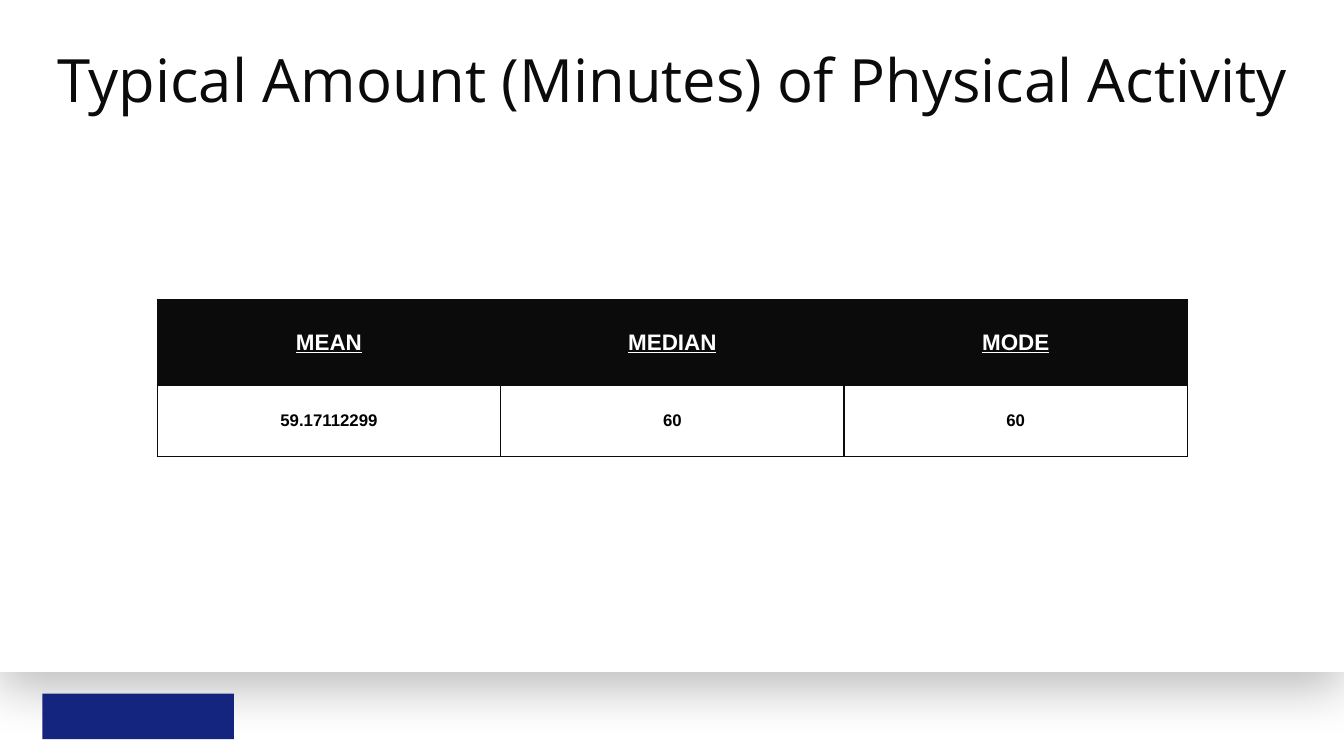
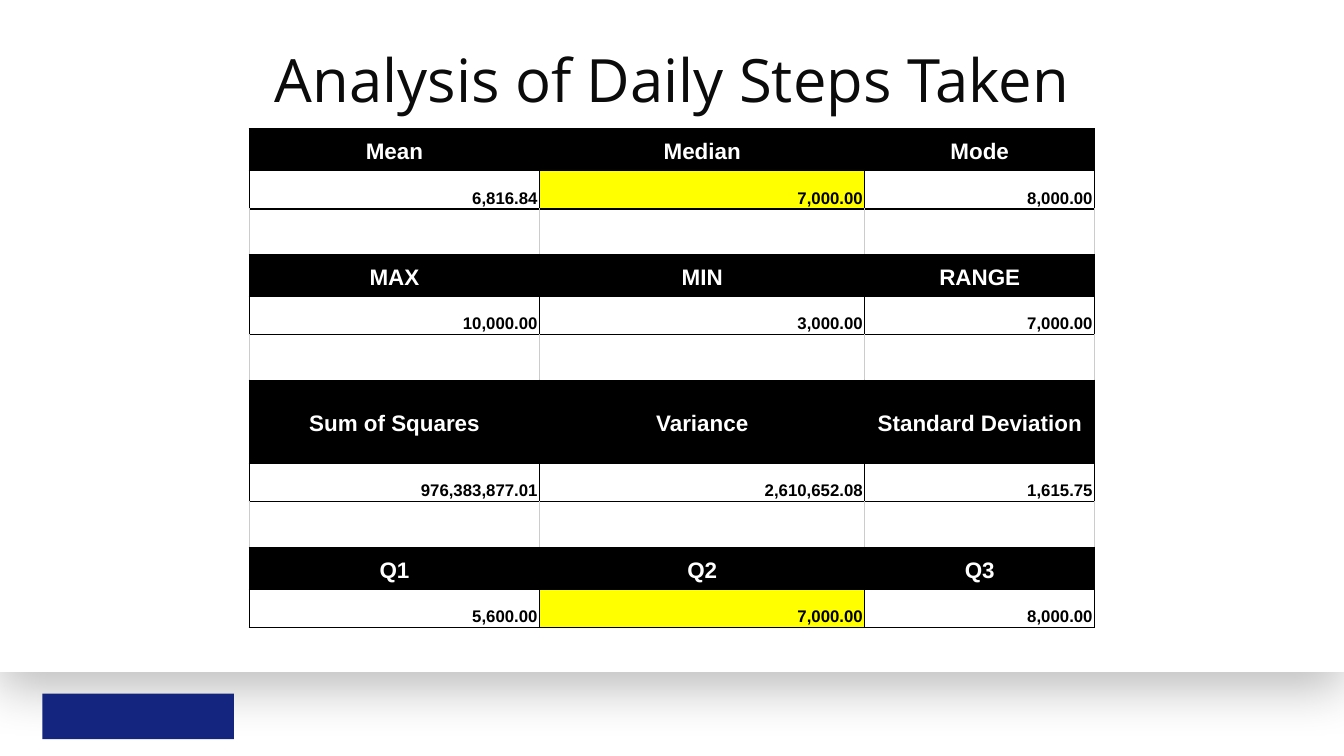
from dataclasses import dataclass

from lxml import etree
from pptx import Presentation
from pptx.dml.color import RGBColor
from pptx.enum import shapes, text
from pptx.oxml import ns
from pptx.util import Emu, Inches, Pt

COLUMNS, ROWS = 20, 11.25


@dataclass(frozen=True)
class Theme:
    ink: str = "0B0B0B"
    black: str = "000000"
    white: str = "FFFFFF"
    navy: str = "14257F"
    highlight: str = "FFFF00"
    grid_grey: str = "CCCCCC"
    title_font: str = "Open Sans"
    table_font: str = "Arial"
    title_size: int = 64
    heading_size: int = 24
    value_size: int = 18
    border_width: float = 1.5


@dataclass(frozen=True)
class TableLook:
    """What differs between the tables: colour, margins, spacing, value placement."""
    colour: str
    margins: tuple
    underline: bool = False
    line_spacing: float = 1.0
    value_align: text.PP_ALIGN = text.PP_ALIGN.CENTER
    value_anchor: text.MSO_ANCHOR = text.MSO_ANCHOR.MIDDLE


def set_all(target, values):
    for name, value in values.items():
        setattr(target, name, value)


def add_element(parent, tag, index=None, **attributes):
    element = etree.Element(ns.qn(tag), {k: str(v) for k, v in attributes.items()})
    parent.insert(len(parent) if index is None else index, element)
    return element


class Deck:
    def __init__(self, theme):
        self.theme = theme
        self.presentation = Presentation()
        set_all(self.presentation, {"slide_width": Inches(COLUMNS),
                                    "slide_height": Inches(ROWS)})
        self.layout = self.presentation.slide_layouts[5]
        self.slide = None

    def x(self, columns):
        return Emu(round(self.presentation.slide_width * columns / COLUMNS))

    def y(self, rows):
        return Emu(round(self.presentation.slide_height * rows / ROWS))

    def box(self, left, top, width, height):
        return self.x(left), self.y(top), self.x(width), self.y(height)

    def style_font(self, font, name, size, colour, **extra):
        set_all(font, {"name": name, "size": Pt(size), **extra})
        font.color.rgb = RGBColor.from_string(colour)

    def add_slide(self, title):
        self.slide = self.presentation.slides.add_slide(self.layout)
        if len(self.presentation.slides) == 1:
            self.add_backdrop()
        self.add_title(title)

    def add_backdrop(self):
        """Put the white panel and the footer block on the shared layout."""
        panel = self.add_block(self.theme.white, 0, 0, COLUMNS, 10)
        footer = self.add_block(self.theme.navy, 0.63, 10.32, 2.85, 0.68)
        self.add_panel_shadow(panel)
        for index, shape in enumerate((panel, footer), start=2):
            self.layout.shapes.element.insert(index, shape.element)

    def add_block(self, colour, *place):
        block = self.slide.shapes.add_shape(shapes.MSO_SHAPE.RECTANGLE, *self.box(*place))
        block.shadow.inherit = False
        block.fill.solid()
        block.fill.fore_color.rgb = RGBColor.from_string(colour)
        block.line.fill.background()
        return block

    def add_panel_shadow(self, panel):
        effects = panel.element.spPr.find(ns.qn("a:effectLst"))
        shadow = add_element(effects, "a:outerShdw", blurRad=Pt(56.2), dist=Pt(18.8),
                             dir=90 * 60000, algn="t", rotWithShape=0)
        colour = add_element(shadow, "a:srgbClr", val=self.theme.black)
        add_element(colour, "a:alpha", val=25000)

    def add_title(self, wording):
        title = self.slide.shapes.title
        left, top, width, height = self.box(0.75, 0.34, 18.5, 1.65)
        set_all(title, {"left": left, "top": top, "width": width, "height": height})
        frame = title.text_frame
        frame.text = wording
        set_all(frame, {"margin_left": 0, "margin_right": 0, "margin_top": 0,
                        "margin_bottom": 0, "word_wrap": True,
                        "auto_size": text.MSO_AUTO_SIZE.NONE,
                        "vertical_anchor": text.MSO_ANCHOR.MIDDLE})
        paragraph = frame.paragraphs[0]
        paragraph.alignment = text.PP_ALIGN.CENTER
        self.style_font(paragraph.runs[0].font, self.theme.title_font,
                        self.theme.title_size, self.theme.ink)

    def add_statistics(self, left, top, widths, bands, look, highlights=()):
        """Each band is (kind, height, wordings); kind is heading, values or spacer."""
        height = sum(band[1] for band in bands)
        place = self.box(left, top, sum(widths), height)
        table = self.slide.shapes.add_table(len(bands), len(widths), *place).table
        set_all(table, {"first_row": False, "horz_banding": False})
        for column, width in zip(table.columns, widths):
            column.width = self.x(width)
        for r, (kind, height, wordings) in enumerate(bands):
            table.rows[r].height = self.y(height)
            for c in range(len(widths)):
                cell = table.cell(r, c)
                fill = self.theme.highlight if (r, c) in highlights else None
                self.fill_cell(cell, look.colour if kind == "heading" else fill)
                sides = self.theme.grid_grey if kind == "spacer" else look.colour
                self.add_borders(cell, sides, look.colour)
                if wordings:
                    self.write_cell(cell, wordings[c], kind == "heading", look)

    def fill_cell(self, cell, colour):
        if colour:
            cell.fill.solid()
            cell.fill.fore_color.rgb = RGBColor.from_string(colour)
        else:
            cell.fill.background()

    def add_borders(self, cell, sides, edges):
        properties = cell._tc.get_or_add_tcPr()
        borders = {"a:lnL": sides, "a:lnR": sides, "a:lnT": edges, "a:lnB": edges}
        for index, (tag, colour) in enumerate(borders.items()):
            line = add_element(properties, tag, index, w=Pt(self.theme.border_width))
            add_element(add_element(line, "a:solidFill"), "a:srgbClr", val=colour)

    def write_cell(self, cell, wording, is_heading, look):
        theme = self.theme
        across, down = (Inches(margin) for margin in look.margins)
        cell.text = wording
        set_all(cell, {
            "margin_left": across, "margin_right": across,
            "margin_top": down, "margin_bottom": down,
            "vertical_anchor": text.MSO_ANCHOR.MIDDLE if is_heading else look.value_anchor})
        paragraph = cell.text_frame.paragraphs[0]
        set_all(paragraph, {
            "alignment": text.PP_ALIGN.CENTER if is_heading else look.value_align,
            "line_spacing": look.line_spacing})
        self.style_font(paragraph.runs[0].font, theme.table_font,
                        theme.heading_size if is_heading else theme.value_size,
                        theme.white if is_heading else theme.black,
                        bold=True, underline=is_heading and look.underline)


def activity_slide(deck):
    deck.add_slide("Typical Amount (Minutes) of Physical Activity")
    look = TableLook(deck.theme.ink, (0.1, 0.1), underline=True)
    bands = [("heading", 1.27, ("MEAN", "MEDIAN", "MODE")),
             ("values", 1.06, ("59.17112299", "60", "60"))]
    deck.add_statistics(2.34, 4.46, [5.11] * 3, bands, look)


def steps_slide(deck):
    deck.add_slide("Analysis of Daily Steps Taken")
    look = TableLook(deck.theme.black, (0.03, 0.02), line_spacing=1.15,
                     value_align=text.PP_ALIGN.RIGHT,
                     value_anchor=text.MSO_ANCHOR.BOTTOM)
    groups = [
        (0.62, ("Mean", "Median", "Mode"), ("6,816.84", "7,000.00", "8,000.00")),
        (0.62, ("MAX", "MIN", "RANGE"), ("10,000.00", "3,000.00", "7,000.00")),
        (1.24, ("Sum of Squares", "Variance", "Standard Deviation"),
         ("976,383,877.01", "2,610,652.08", "1,615.75")),
        (0.62, ("Q1", "Q2", "Q3"), ("5,600.00", "7,000.00", "8,000.00")),
    ]
    bands = []
    for height, headings, values in groups:
        if bands:
            bands.append(("spacer", 0.68, ()))
        bands += [("heading", height, headings), ("values", 0.57, values)]
    medians = {(1, 1), (len(bands) - 1, 1)}
    deck.add_statistics(3.71, 1.92, [4.32, 4.84, 3.42], bands, look, medians)


def main():
    deck = Deck(Theme())
    activity_slide(deck)
    steps_slide(deck)
    deck.presentation.save("out.pptx")


if __name__ == "__main__":
    main()
